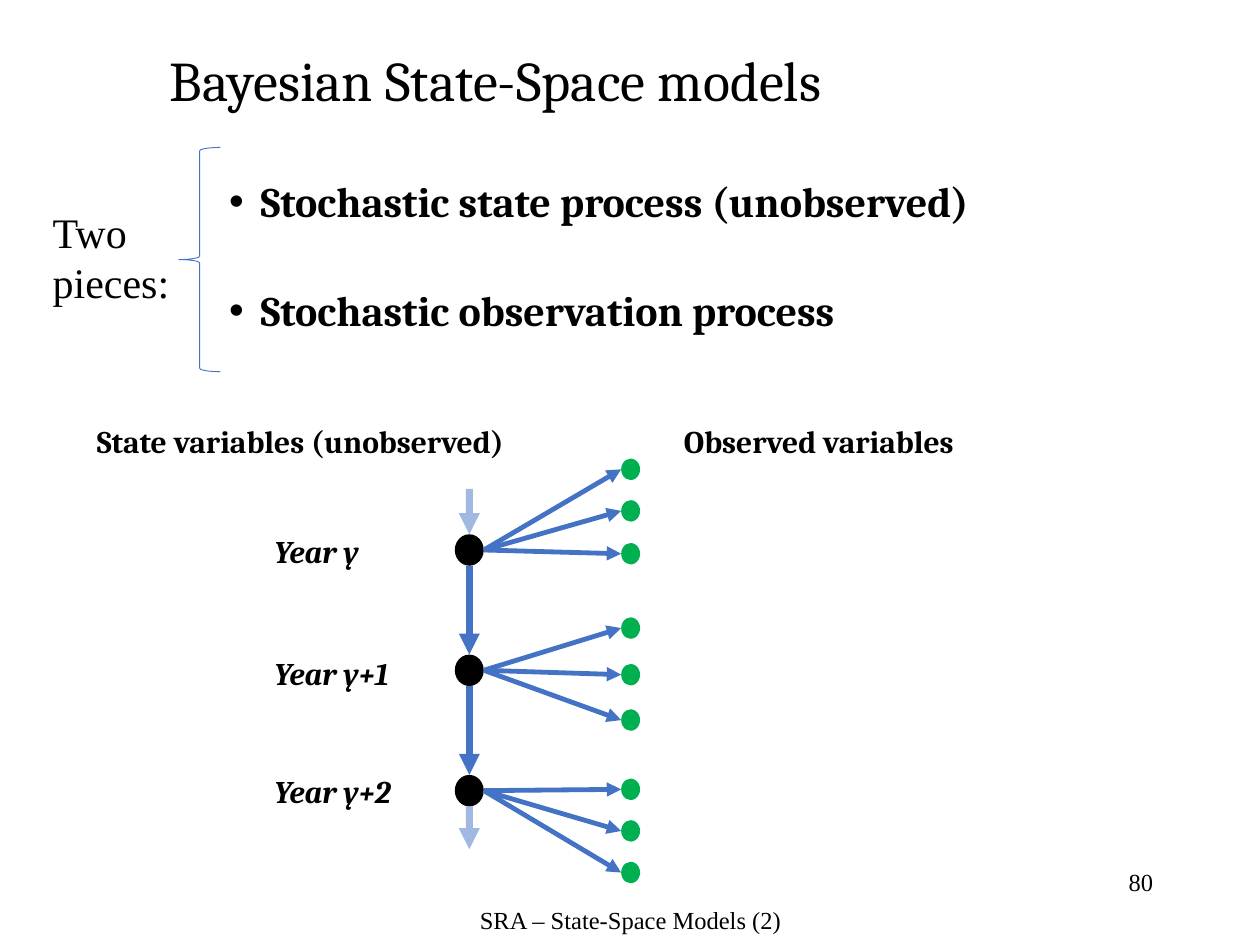
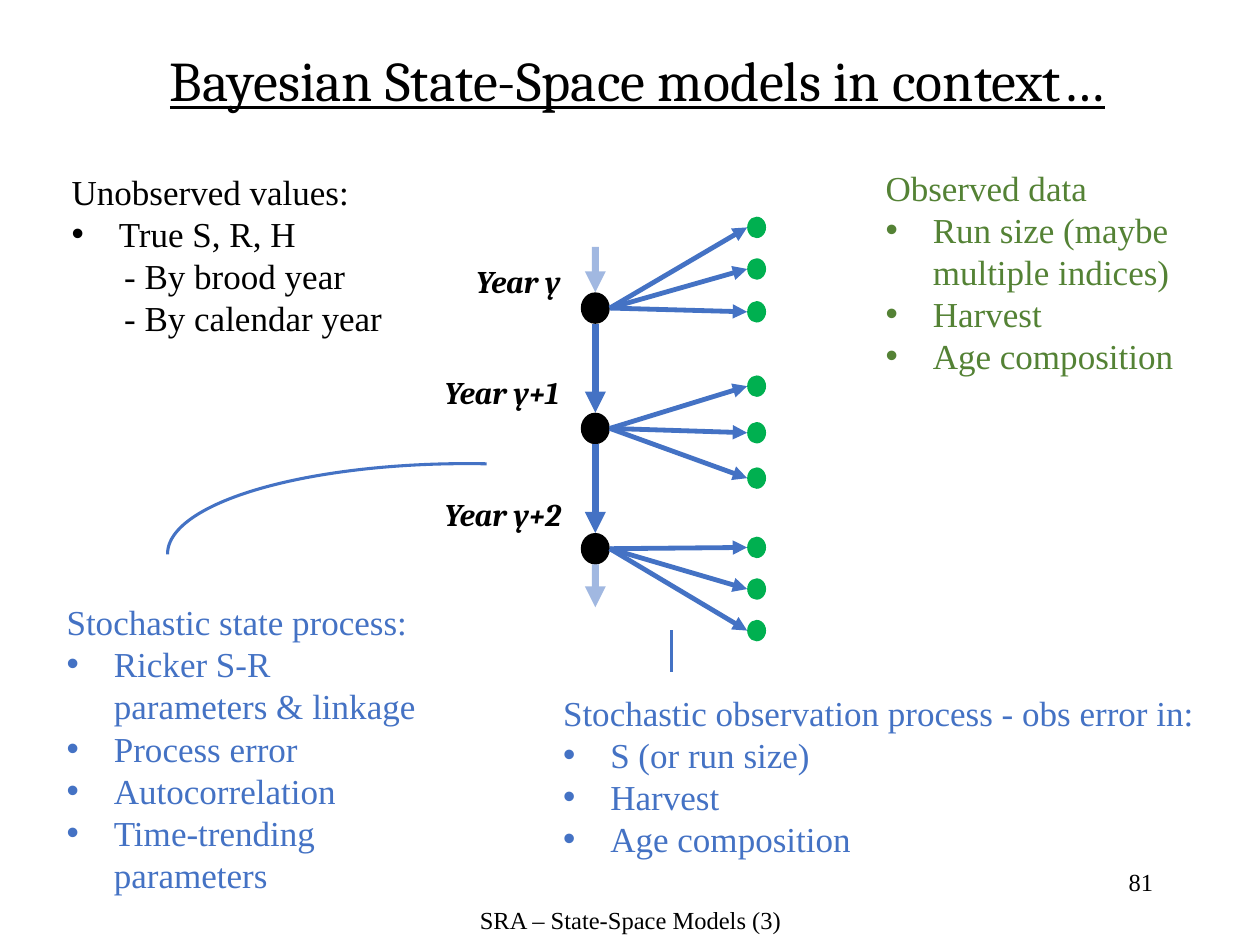
from lxml import etree
from pptx import Presentation
from pptx.dml.color import RGBColor
from pptx.enum.shapes import MSO_CONNECTOR, MSO_SHAPE
from pptx.enum.text import MSO_ANCHOR, MSO_AUTO_SIZE, PP_ALIGN
from pptx.oxml.ns import qn
from pptx.util import Inches, Pt

COLUMNS, ROWS = 100, 75
CELL = Inches(0.1)
BLANK_LAYOUT = 6

BLACK = RGBColor(0x00, 0x00, 0x00)
BLUE = RGBColor(0x44, 0x72, 0xC4)
BRIGHT_GREEN = RGBColor(0x00, 0xB0, 0x50)
DARK_GREEN = RGBColor(0x54, 0x82, 0x35)

HEADING_FONT = "Cambria"
BODY_FONT = "Times New Roman"

STRAIGHT = MSO_CONNECTOR.STRAIGHT
ELLIPSE, LEFT_BRACE, ARC = MSO_SHAPE.OVAL, MSO_SHAPE.LEFT_BRACE, MSO_SHAPE.ARC
TOP, MIDDLE = MSO_ANCHOR.TOP, MSO_ANCHOR.MIDDLE
LEFT, CENTER, RIGHT = PP_ALIGN.LEFT, PP_ALIGN.CENTER, PP_ALIGN.RIGHT
GROW = MSO_AUTO_SIZE.SHAPE_TO_FIT_TEXT

STATE_WIDTH, STATE_HEIGHT, STATE_STEP = 2.3, 2.5, 9.55
DATUM_WIDTH, DATUM_HEIGHT, DATUM_SHIFT = 1.5, 1.7, 13.2
DATUM_ROWS = ((-6, -2.7, 0.7), (6.6, 10.3, 13.9), (19.4, 22.7, 26))
YEARS = ("Year y", "Year y+1", "Year y+2")


def cells(*counts):
    """Turn grid counts into lengths."""
    return [round(count * CELL) for count in counts]


def write(slide, box, *lines, size=20, font=BODY_FONT, color=BLACK, bold=False,
          italic=False, underline=False, align=LEFT, anchor=TOP, wrap=True,
          grow=False, spacing=1.0):
    """Add a text box with one paragraph per line and return the paragraphs."""
    frame = slide.shapes.add_textbox(*cells(*box)).text_frame
    frame.word_wrap = wrap
    frame.vertical_anchor = anchor
    if grow:
        frame.auto_size = GROW
    for position, line in enumerate(lines):
        paragraph = frame.add_paragraph() if position else frame.paragraphs[0]
        paragraph.alignment = align
        paragraph.line_spacing = spacing
        run = paragraph.add_run()
        run.text = line
        run.font.size, run.font.name = Pt(size), font
        run.font.bold, run.font.italic = bold, italic
        run.font.underline = underline
        run.font.color.rgb = color
    return frame.paragraphs


def indent(paragraph, margin, hanging=0):
    """Set the left margin and hanging indent of a paragraph."""
    properties = paragraph._p.get_or_add_pPr()
    margin, hanging = cells(margin, hanging)
    properties.set("marL", str(margin))
    properties.set("indent", str(-hanging))
    return properties


def add_bullet(paragraph, margin):
    """Give a paragraph a round bullet."""
    properties = indent(paragraph, margin, margin)
    etree.SubElement(properties, qn("a:buFont")).set("typeface", "Arial")
    etree.SubElement(properties, qn("a:buChar")).set("char", "•")


def write_list(slide, box, heading, bullets, details=(), color=BLACK):
    """Add a heading with bullets and indented details below it."""
    paragraphs = write(slide, box, heading, *bullets, *details, color=color, grow=True)
    for paragraph in paragraphs[1:len(bullets) + 1]:
        add_bullet(paragraph, 3.75)
    for paragraph in paragraphs[len(bullets) + 1:]:
        indent(paragraph, 4.17)


def write_year(slide, box, year):
    """Label one state with its year."""
    write(slide, box, year, size=18, font=HEADING_FONT, bold=True, italic=True,
          wrap=False, grow=True)


def add_dot(slide, box, color):
    """Add a filled ellipse without outline."""
    dot = slide.shapes.add_shape(ELLIPSE, *cells(*box))
    dot.shadow.inherit = False
    dot.fill.solid()
    dot.fill.fore_color.rgb = color
    dot.line.fill.background()


def add_outline(slide, preset, box, width):
    """Add an unfilled preset shape with a blue line."""
    outline = slide.shapes.add_shape(preset, *cells(*box))
    outline.shadow.inherit = False
    outline.fill.background()
    outline.line.color.rgb = BLUE
    outline.line.width = Pt(width)
    return outline


def add_line(slide, start, end, width, arrow=True, opacity=100):
    """Add a straight blue line, by default with an arrowhead."""
    connector = slide.shapes.add_connector(STRAIGHT, *cells(*start, *end))
    connector.line.color.rgb = BLUE
    connector.line.width = Pt(width)
    stroke = connector.line._get_or_add_ln()
    if opacity < 100:
        tint = stroke.find(".//" + qn("a:srgbClr"))
        etree.SubElement(tint, qn("a:alpha")).set("val", str(opacity * 1000))
    if arrow:
        etree.SubElement(stroke, qn("a:tailEnd")).set("type", "triangle")
    etree.SubElement(connector._element.spPr, qn("a:effectLst"))


def add_state_network(slide, left, top):
    """Draw the chain of yearly states and the data each one yields."""
    axis = left + STATE_WIDTH / 2
    tops = [top + year * STATE_STEP for year in range(len(YEARS))]
    datum_left = left + DATUM_SHIFT
    for state_top in tops:
        add_dot(slide, (left, state_top, STATE_WIDTH, STATE_HEIGHT), BLACK)
    for upper, lower in zip(tops, tops[1:]):
        add_line(slide, (axis, upper + STATE_HEIGHT), (axis, lower), 4)
    for state_top, rows in zip(tops, DATUM_ROWS):
        source = left + STATE_WIDTH, state_top + STATE_HEIGHT / 2
        for row in rows:
            datum_top = top + row
            add_dot(slide, (datum_left, datum_top, DATUM_WIDTH, DATUM_HEIGHT), BRIGHT_GREEN)
            add_line(slide, source, (datum_left, datum_top + DATUM_HEIGHT / 2), 2.75)
    chain_end = tops[-1] + STATE_HEIGHT
    add_line(slide, (axis, top - 3.6), (axis, top), 4, opacity=50)
    add_line(slide, (axis, chain_end), (axis, chain_end + 3.4), 4, opacity=50)


def start_slide(deck, title, number, footer, underline=False):
    """Add a slide with its title, page number and footer."""
    slide = deck.slides.add_slide(deck.slide_layouts[BLANK_LAYOUT])
    write(slide, (12.5, 2.7, 82.7, 7.9), title, size=32, font=HEADING_FONT,
          underline=underline, anchor=MIDDLE, spacing=0.9)
    write(slide, (71.7, 68.3, 20.8, 5), number, size=14, align=RIGHT)
    write(slide, (34.2, 71.3, 31.7, 3.7), footer, size=14, align=CENTER)
    return slide


def build_two_pieces(deck):
    """Build the slide on the two processes of the model."""
    slide = start_slide(deck, "Bayesian State-Space models", "80",
                        "SRA – State-Space Models (2)")
    processes = write(slide, (17.2, 13.9, 78, 19.5),
                      "Stochastic state process (unobserved)",
                      "Stochastic observation process",
                      size=24, font=HEADING_FONT, bold=True, spacing=0.9)
    for process in processes:
        add_bullet(process, 2.5)
    processes[1].space_before = Pt(36)
    write(slide, (3.2, 15.9, 12.5, 9.1), "Two pieces:", size=24, grow=True)
    add_outline(slide, LEFT_BRACE, (14.2, 11.7, 3.3, 17.8), 0.5)

    add_state_network(slide, 36.1, 42.4)
    for left, width, caption in ((6.7, 35.4, "State variables (unobserved)"),
                                 (53.3, 24.2, "Observed variables")):
        write(slide, (left, 33, width, 4), caption, size=18, font=HEADING_FONT,
              bold=True, wrap=False, grow=True)
    for year, top, width in zip(YEARS, (41.7, 51.4, 60.8), (8.9, 11.8, 11.8)):
        write_year(slide, (20.8, top, width, 4), year)


def build_context(deck):
    """Build the slide that sets the model in context."""
    slide = start_slide(deck, "Bayesian State-Space models in context…", "81",
                        "SRA – State-Space Models (3)", underline=True)
    add_state_network(slide, 46.1, 23.2)
    for year, left, top, width in zip(YEARS, (36.8, 34.3, 34.3),
                                      (20.3, 29.1, 38.8), (8.9, 11.8, 11.8)):
        write_year(slide, (left, top, width, 4), year)

    write_list(slide, (4.7, 13, 27, 17.8), "Unobserved values:", ["True S, R, H"],
               ["- By brood year", "- By calendar year"])
    write_list(slide, (4.3, 47.2, 29.9, 27.9), "Stochastic state process:",
               ["Ricker S-R parameters & linkage", "Process error",
                "Autocorrelation", "Time-trending parameters"], color=BLUE)
    write_list(slide, (43.7, 54.4, 53.8, 17.8),
               "Stochastic observation process - obs error in:",
               ["S (or run size)", "Harvest", "Age composition"], color=BLUE)
    write_list(slide, (69.3, 12.7, 26.3, 21.2), "Observed data",
               ["Run size (maybe multiple indices)", "Harvest", "Age composition"],
               color=DARK_GREEN)

    state_link = add_outline(slide, ARC, (13.3, 36.8, 47.5, 14.3), 1.75)
    state_link.adjustments[0] = 107.93
    state_link.adjustments[1] = 169.43
    add_line(slide, (53.3, 50), (53.3, 53.3), 1.75, arrow=False)


def main():
    """Build and save the deck."""
    deck = Presentation()
    deck.slide_width, deck.slide_height = cells(COLUMNS, ROWS)
    build_two_pieces(deck)
    build_context(deck)
    deck.save("out.pptx")


if __name__ == "__main__":
    main()
